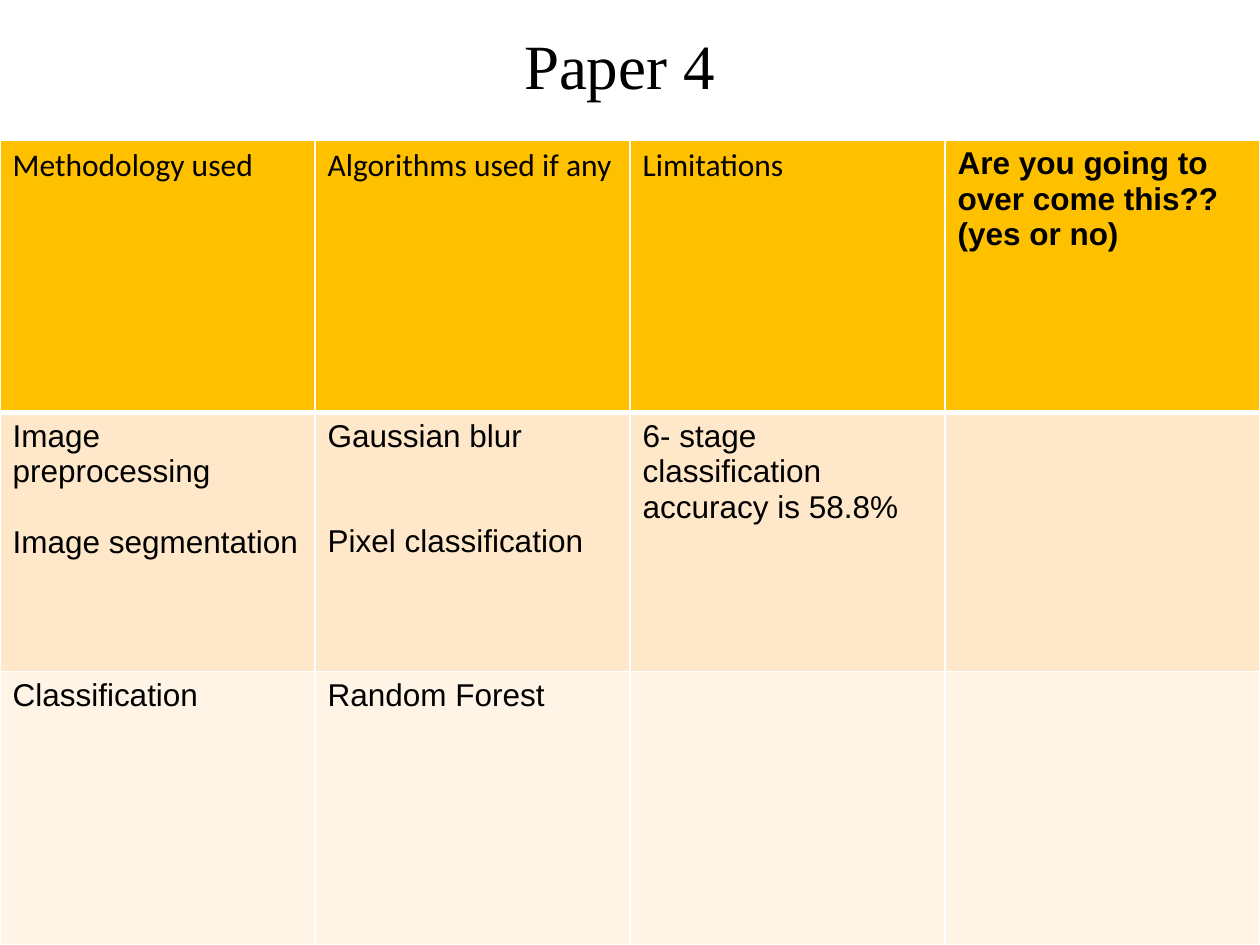
from lxml import etree
from pptx import Presentation
from pptx.dml.color import RGBColor
from pptx.enum.text import MSO_ANCHOR, PP_ALIGN
from pptx.oxml.ns import qn
from pptx.util import Cm, Pt

LEFT, MIDDLE = PP_ALIGN.LEFT, MSO_ANCHOR.MIDDLE
TITLE_ONLY = 5

# Content: each cell is a list of (text, space before in points)
TITLE = "Paper 4"
ROWS = [
    [[("Methodology used ", 0)], [("Algorithms used if any ", 0)],
     [("Limitations", 0)],
     [("Are you going to over come this?? (yes or no)", 0)]],
    [[("Image preprocessing", 0), ("Image segmentation", 20)],
     [("Gaussian blur", 0), ("Pixel classification", 40)],
     [("6- stage classification accuracy is 58.8%", 0)], []],
    [[("Classification", 0)], [("Random Forest", 0)], [], []],
]
COLORS = {"text": "000000", "border": "FFFFFF"}
ROW_FILLS = ["FFC000", "FFE8CA", "FFF4E6"]
ROW_HEIGHTS = [Cm(5.5), Cm(5.22), Cm(5.5)]
SLIDE_W, SLIDE_H = Cm(25.4), Cm(19.05)
TABLE_TOP = Cm(2.82)


def style_font(font, name, size, bold=False):
    font.name, font.size, font.bold = name, Pt(size), bold
    font.color.rgb = RGBColor.from_string(COLORS["text"])


def set_borders(cell, widths):
    tcPr = cell._tc.get_or_add_tcPr()
    for i, (tag, width) in enumerate(widths.items()):
        ln = etree.Element(qn("a:" + tag), w=str(Pt(width)))
        fill = etree.SubElement(ln, qn("a:solidFill"))
        etree.SubElement(fill, qn("a:srgbClr"), val=COLORS["border"])
        tcPr.insert(i, ln)


prs = Presentation()
prs.slide_width, prs.slide_height = SLIDE_W, SLIDE_H
s = prs.slides.add_slide(prs.slide_layouts[TITLE_ONLY])

# Title
title = s.shapes.title
title.left, title.top, title.width, title.height = Cm(10.31), Cm(0.38), Cm(4.8), Cm(2.03)
tf = title.text_frame
tf.text = TITLE
tf.word_wrap = True
tf.vertical_anchor = MIDDLE
p = tf.paragraphs[0]
p.alignment, p.line_spacing = LEFT, 0.9
style_font(p.runs[0].font, "Times New Roman", 36)

# Table
table = s.shapes.add_table(len(ROWS), len(ROWS[0]), 0, TABLE_TOP,
                           SLIDE_W, sum(ROW_HEIGHTS)).table
for row, height in zip(table.rows, ROW_HEIGHTS):
    row.height = height
for r, row in enumerate(ROWS):
    for c, paragraphs in enumerate(row):
        cell = table.cell(r, c)
        cell.fill.solid()
        cell.fill.fore_color.rgb = RGBColor.from_string(ROW_FILLS[r])
        set_borders(cell, {"lnL": 1, "lnR": 1, "lnT": 3 if r == 1 else 1,
                           "lnB": 3 if r == 0 else 1})
        # Header cells are Calibri, except the bold Arial question
        question = r == 0 and c == len(row) - 1
        font_name = "Calibri" if r == 0 and not question else "Arial"
        tf = cell.text_frame
        tf.text = "\n".join(text for text, _ in paragraphs)
        for p, (_, gap) in zip(tf.paragraphs, paragraphs):
            p.space_before = Pt(gap)
            style_font(p.runs[0].font, font_name, 18, question)

prs.save("out.pptx")
